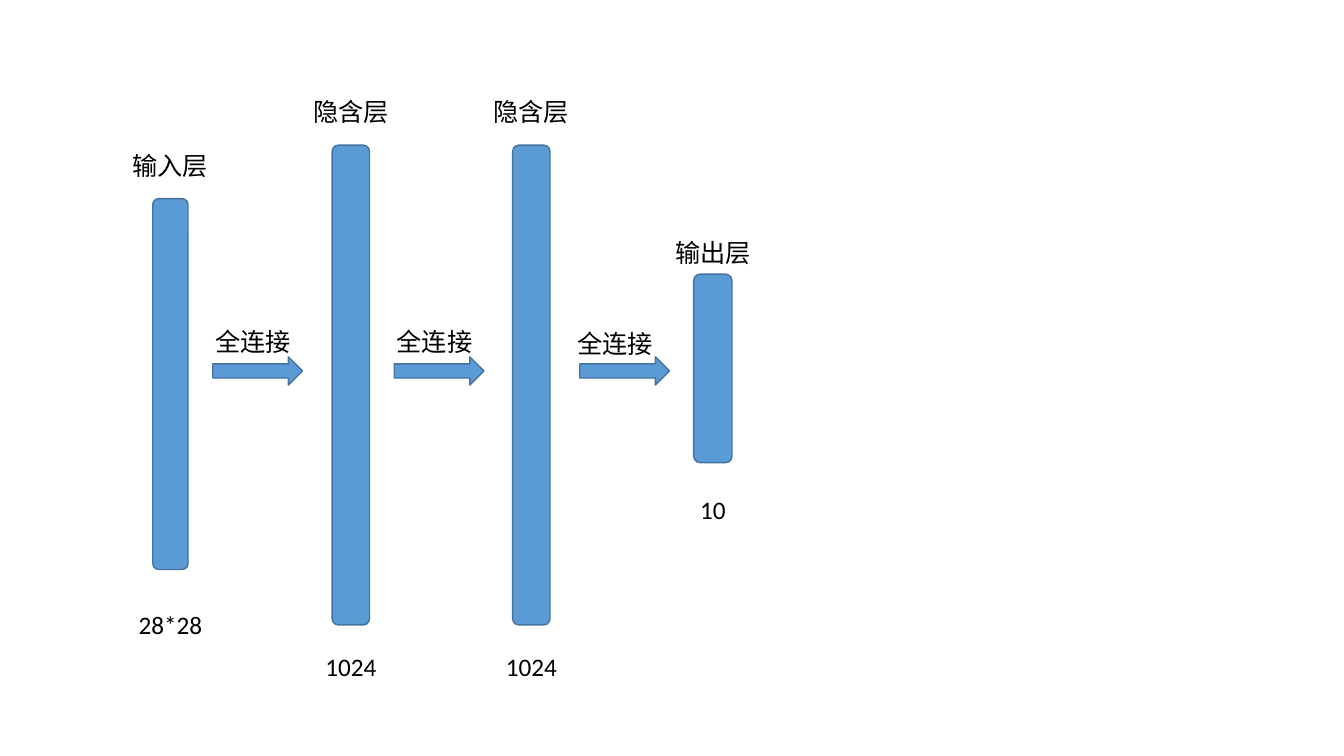
from pptx import Presentation
from pptx.dml.color import RGBColor
from pptx.enum.shapes import MSO_SHAPE
from pptx.enum.text import MSO_AUTO_SIZE, PP_ALIGN
from pptx.util import Inches, Pt

HUES = {"fill": "5B9BD5", "line": "43739E", "text": "000000"}


def write(frame, text, size=18, font="Calibri", hue="text", align=PP_ALIGN.CENTER):
    """Put one formatted line of text in a frame."""
    para = frame.paragraphs[0]
    para.alignment = align
    run = para.add_run()
    run.text = text
    run.font.size = Pt(size)
    run.font.name = font
    run.font.color.rgb = RGBColor.from_string(HUES[hue])


class Sketch:
    """Hold the style and the current slide."""

    def __init__(self, slide):
        """Keep the slide to draw on."""
        self.slide = slide

    def block(self, kind, left, top, width, height):
        """Draw a filled and outlined preset shape."""
        shape = self.slide.shapes.add_shape(
            kind, Inches(left), Inches(top), Inches(width), Inches(height))
        shape.shadow.inherit = False
        shape.fill.solid()
        shape.fill.fore_color.rgb = RGBColor.from_string(HUES["fill"])
        shape.line.color.rgb = RGBColor.from_string(HUES["line"])
        shape.line.width = Pt(1)

    def label(self, text, mid, top, width=0.96):
        """Centre a text box on a horizontal position."""
        box = self.slide.shapes.add_textbox(
            Inches(mid - width / 2), Inches(top), Inches(width), Inches(0.4))
        box.text_frame.word_wrap = False
        box.text_frame.auto_size = MSO_AUTO_SIZE.SHAPE_TO_FIT_TEXT
        write(box.text_frame, text)

    def layer(self, name, count, mid, top, size, name_top, count_top, count_width):
        """Draw a network layer with its name above and count below."""
        width, height = size
        self.block(MSO_SHAPE.ROUNDED_RECTANGLE, mid - width / 2, top, width, height)
        self.label(name, mid, name_top)
        self.label(count, mid, count_top, count_width)

    def link(self, left, mid, top):
        """Draw an arrow between layers with its label."""
        self.block(MSO_SHAPE.RIGHT_ARROW, left, 3.54, 0.89, 0.28)
        self.label("全连接", mid, top)


deck = Presentation()
deck.slide_width, deck.slide_height = Inches(13.33), Inches(7.5)
sketch = Sketch(deck.slides.add_slide(deck.slide_layouts[6]))

sketch.layer("输入层", "28*28", 1.69, 1.97, (0.35, 3.68), 1.44, 6, 0.84)
for mid in (3.48, 5.27):
    sketch.layer("隐含层", "1024", mid, 1.44, (0.37, 4.76), 0.91, 6.41, 0.71)
sketch.layer("输出层", "10", 7.07, 2.72, (0.38, 1.87), 2.31, 4.85, 0.46)

for left, mid, top in ((2.11, 2.51, 3.19), (3.91, 4.31, 3.19), (5.75, 6.1, 3.21)):
    sketch.link(left, mid, top)

deck.save("out.pptx")
